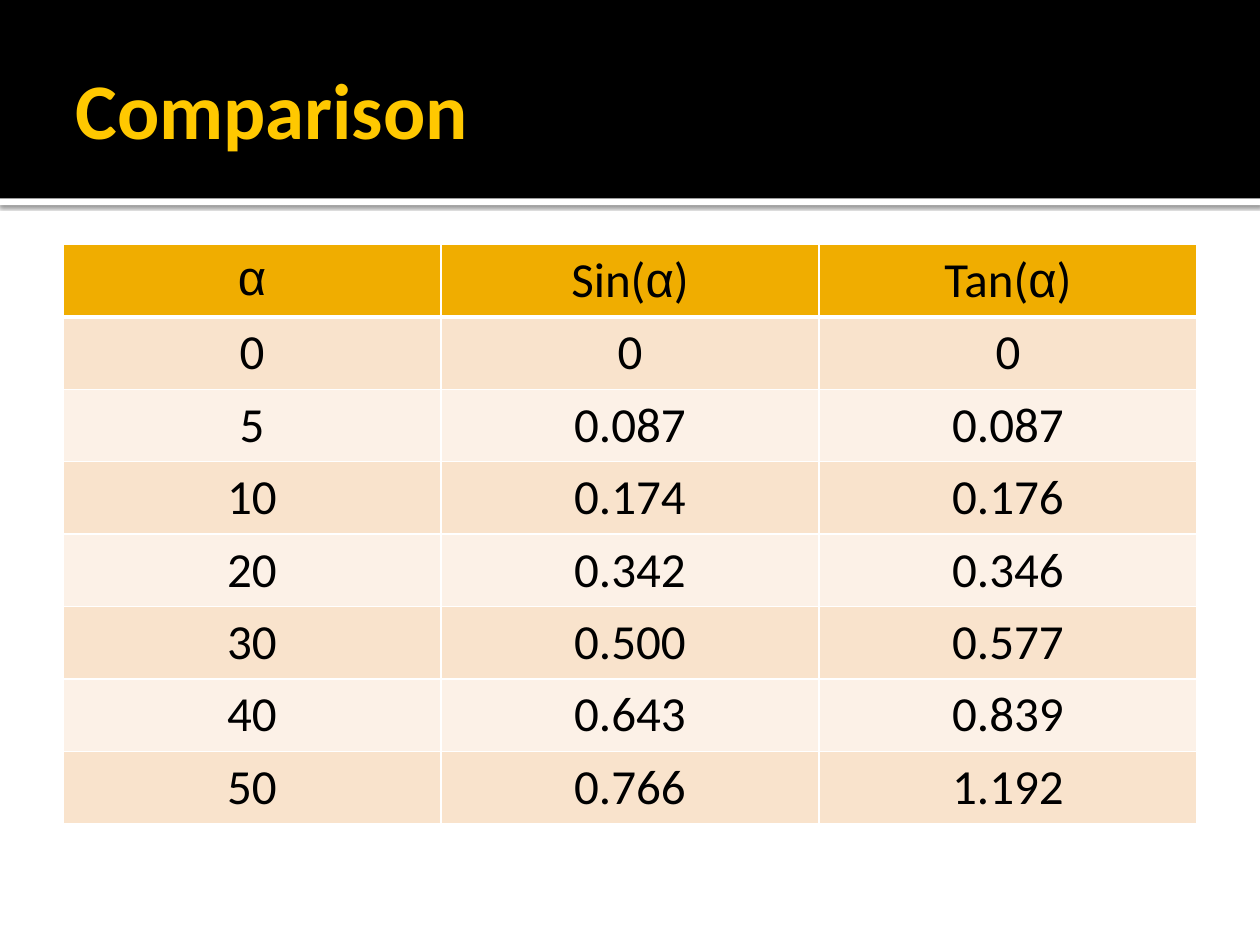
from lxml import etree
from pptx import Presentation, util as u
from pptx.dml.color import RGBColor
from pptx.enum import shapes, text
from pptx.oxml import parse_xml
from pptx.oxml.ns import nsdecls

prs = Presentation()
prs.slide_width, prs.slide_height = u.Inches(10), u.Inches(7.5)
W, H = prs.slide_width, prs.slide_height
s = prs.slides.add_slide(prs.slide_layouts[6])


def rgb(value):
    return RGBColor.from_string(value)


def add_run(p, words, color, **font):
    r = p.add_run()
    r.text = words
    r.font.color.rgb = rgb(color)
    for name, value in font.items():
        setattr(r.font, name, value)


# Header band, with a white strip that casts a shadow under it
band = int(H * 0.21)
for top, height, color in ((band, int(H * 0.007), "FFFFFF"), (0, band, "000000")):
    sp = s.shapes.add_shape(shapes.MSO_SHAPE.RECTANGLE, 0, top, W, height)
    sp.shadow.inherit = False
    sp.fill.solid()
    sp.fill.fore_color.rgb = rgb(color)
    sp.line.fill.background()
    if top:
        effects = sp.element.spPr.find("{*}effectLst")
        effects.append(parse_xml(
            f'<a:outerShdw {nsdecls("a")} blurRad="{u.Pt(2.5)}" dist="{u.Pt(0.8)}" '
            'dir="5400000" rotWithShape="0"><a:srgbClr val="000000">'
            '<a:alpha val="60000"/></a:srgbClr></a:outerShdw>'))

# Title
margin = int(W * 0.05)
sp = s.shapes.add_textbox(margin, int(H * 0.023), W - 2 * margin, int(H * 0.183))
tf = sp.text_frame
frame = dict(word_wrap=True, vertical_anchor=text.MSO_ANCHOR.MIDDLE,
             margin_left=u.Inches(0.1), margin_right=u.Inches(0.05))
for name, value in frame.items():
    setattr(tf, name, value)
add_run(tf.paragraphs[0], "Comparison", "FFC800",
        size=u.Pt(45), name="Calibri", bold=True)

# Table of values
rows = [
    ("α", "Sin(α)", "Tan(α)"),
    ("0", "0", "0"),
    ("5", "0.087", "0.087"),
    ("10", "0.174", "0.176"),
    ("20", "0.342", "0.346"),
    ("30", "0.500", "0.577"),
    ("40", "0.643", "0.839"),
    ("50", "0.766", "1.192"),
]
tbl = s.shapes.add_table(len(rows), 3, margin, u.Inches(1.94),
                         W - 2 * margin, u.Inches(4.6)).table
for i, values in enumerate(rows):
    fill = "F0AD00" if i == 0 else ("FCF1E7", "F9E3CC")[i % 2]
    borders = dict(L=1, R=1, T=3 if i == 1 else 1, B=3 if i == 0 else 1)
    for j, value in enumerate(values):
        cell = tbl.cell(i, j)
        cell.margin_left = cell.margin_right = u.Inches(0.11)
        cell.fill.solid()
        cell.fill.fore_color.rgb = rgb(fill)

        # Greek letters are set in Arial, the rest in Calibri
        p = cell.text_frame.paragraphs[0]
        p.alignment = text.PP_ALIGN.CENTER
        before, alpha, after = value.partition("α")
        for part in filter(None, (before, alpha, after)):
            add_run(p, part, "000000", size=u.Pt(28), bold=False,
                    name="Arial" if part == "α" else "Calibri")

        # White cell borders, thicker under the heading row
        tcPr = cell._tc.get_or_add_tcPr()
        for k, (side, width) in enumerate(borders.items()):
            tcPr.insert(k, etree.fromstring(
                f'<a:ln{side} {nsdecls("a")} w="{u.Pt(width)}"><a:solidFill>'
                f'<a:srgbClr val="FFFFFF"/></a:solidFill></a:ln{side}>'))

prs.save("out.pptx")
